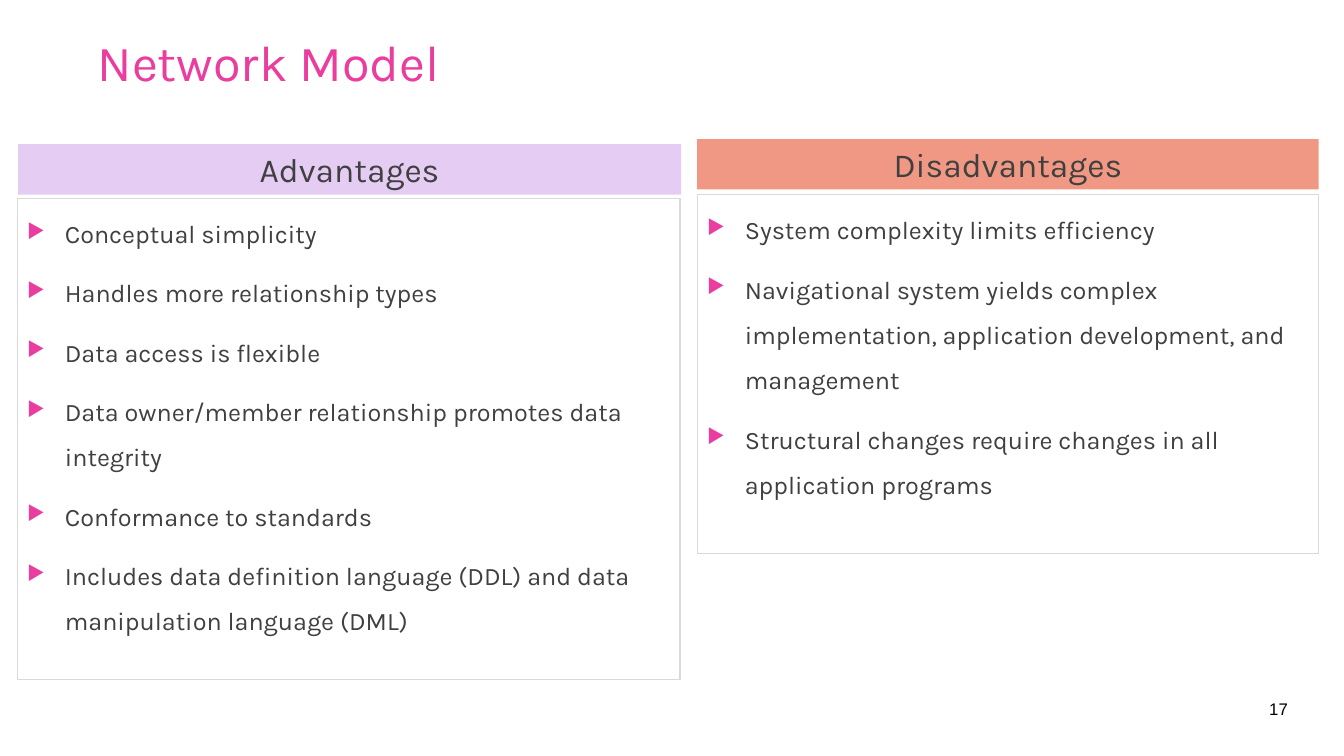
from lxml import etree
from pptx import Presentation
from pptx.dml.color import RGBColor
from pptx.enum.shapes import MSO_SHAPE
from pptx.enum.text import MSO_ANCHOR, MSO_AUTO_SIZE, PP_ALIGN
from pptx.oxml.ns import qn
from pptx.util import Pt

RECTANGLE = MSO_SHAPE.RECTANGLE
TOP, MIDDLE, BOTTOM = MSO_ANCHOR.TOP, MSO_ANCHOR.MIDDLE, MSO_ANCHOR.BOTTOM
LEFT, CENTER = PP_ALIGN.LEFT, PP_ALIGN.CENTER
NO_AUTOFIT = MSO_AUTO_SIZE.NONE

PINK = RGBColor(0xEB, 0x3D, 0x9F)
LILAC = RGBColor(0xE4, 0xCC, 0xF3)
CORAL = RGBColor(0xF0, 0x98, 0x83)
DARK_GRAY = RGBColor(0x40, 0x40, 0x40)
LIGHT_GRAY = RGBColor(0xD9, 0xD9, 0xD9)
BLACK = RGBColor(0, 0, 0)

HEADING_HEIGHT = 36
BULLET_INDENT = 27

ADVANTAGES = [
    "Conceptual simplicity",
    "Handles more relationship types",
    "Data access is flexible",
    "Data owner/member relationship promotes data integrity",
    "Conformance to standards",
    "Includes data definition language (DDL) and data manipulation language (DML)",
]
DISADVANTAGES = [
    "System complexity limits efficiency",
    "Navigational system yields complex implementation, application development, "
    "and management",
    "Structural changes require changes in all application programs",
]


def format_text(frame, size, color, anchor=TOP, align=LEFT, font="Karla"):
    frame.word_wrap = True
    frame.auto_size = NO_AUTOFIT
    frame.vertical_anchor = anchor
    for paragraph in frame.paragraphs:
        paragraph.alignment = align
        for run in paragraph.runs:
            run.font.name = font
            run.font.size = Pt(size)
            run.font.color.rgb = color


def add_bullet(paragraph):
    properties = paragraph._p.get_or_add_pPr()
    properties.set("marL", str(Pt(BULLET_INDENT)))
    properties.set("indent", str(-Pt(BULLET_INDENT)))
    color = etree.SubElement(properties, qn("a:buClr"))
    etree.SubElement(color, qn("a:srgbClr"), val=str(PINK))
    etree.SubElement(properties, qn("a:buSzPct"), val="80000")
    etree.SubElement(properties, qn("a:buChar"), char="▶")


def add_rectangle(slide, left, top, width, height):
    rectangle = slide.shapes.add_shape(
        RECTANGLE, Pt(left), Pt(top), Pt(width), Pt(height))
    rectangle.shadow.inherit = False
    return rectangle


def place_title(slide, left, top, width, height):
    title = slide.shapes.title
    title.left, title.top = Pt(left), Pt(top)
    title.width, title.height = Pt(width), Pt(height)
    title.text_frame.text = "Network Model"
    format_text(title.text_frame, 36, PINK)


def add_heading(slide, left, top, width, text, color):
    heading = add_rectangle(slide, left, top, width, HEADING_HEIGHT)
    heading.fill.solid()
    heading.fill.fore_color.rgb = color
    heading.line.fill.background()
    heading.text_frame.text = text
    heading.text_frame.paragraphs[0].space_before = Pt(10)
    format_text(heading.text_frame, 24, DARK_GRAY, BOTTOM, CENTER)


def add_points(slide, left, top, width, height, points):
    panel = add_rectangle(slide, left, top, width, height)
    panel.fill.background()
    panel.line.color.rgb = LIGHT_GRAY
    panel.line.width = Pt(0.75)
    panel.text_frame.text = "\n".join(points)
    format_text(panel.text_frame, 18, DARK_GRAY)
    for paragraph in panel.text_frame.paragraphs:
        paragraph.line_spacing = 1.5
        paragraph.space_before = Pt(10)
        add_bullet(paragraph)


def add_page_number(slide, left, top, width, height):
    page_number = slide.shapes.add_textbox(
        Pt(left), Pt(top), Pt(width), Pt(height))
    page_number.text_frame.text = "17"
    format_text(page_number.text_frame, 12, BLACK, MIDDLE, font="Arial")


def main():
    presentation = Presentation()
    presentation.slide_width = Pt(960.48)
    presentation.slide_height = Pt(540)
    slide = presentation.slides.add_slide(presentation.slide_layouts[5])

    place_title(slide, 62.64, 18.72, 660.24, 53.28)
    add_heading(slide, 12.96, 103, 473.76, "Advantages", LILAC)
    add_heading(slide, 498.24, 99.4, 444.24, "Disadvantages", CORAL)
    add_points(slide, 12.24, 141.5, 473.76, 344.2, ADVANTAGES)
    add_points(slide, 498.24, 139, 444.24, 256.3, DISADVANTAGES)
    add_page_number(slide, 900, 491.76, 72, 28.8)

    presentation.save("out.pptx")


if __name__ == "__main__":
    main()
